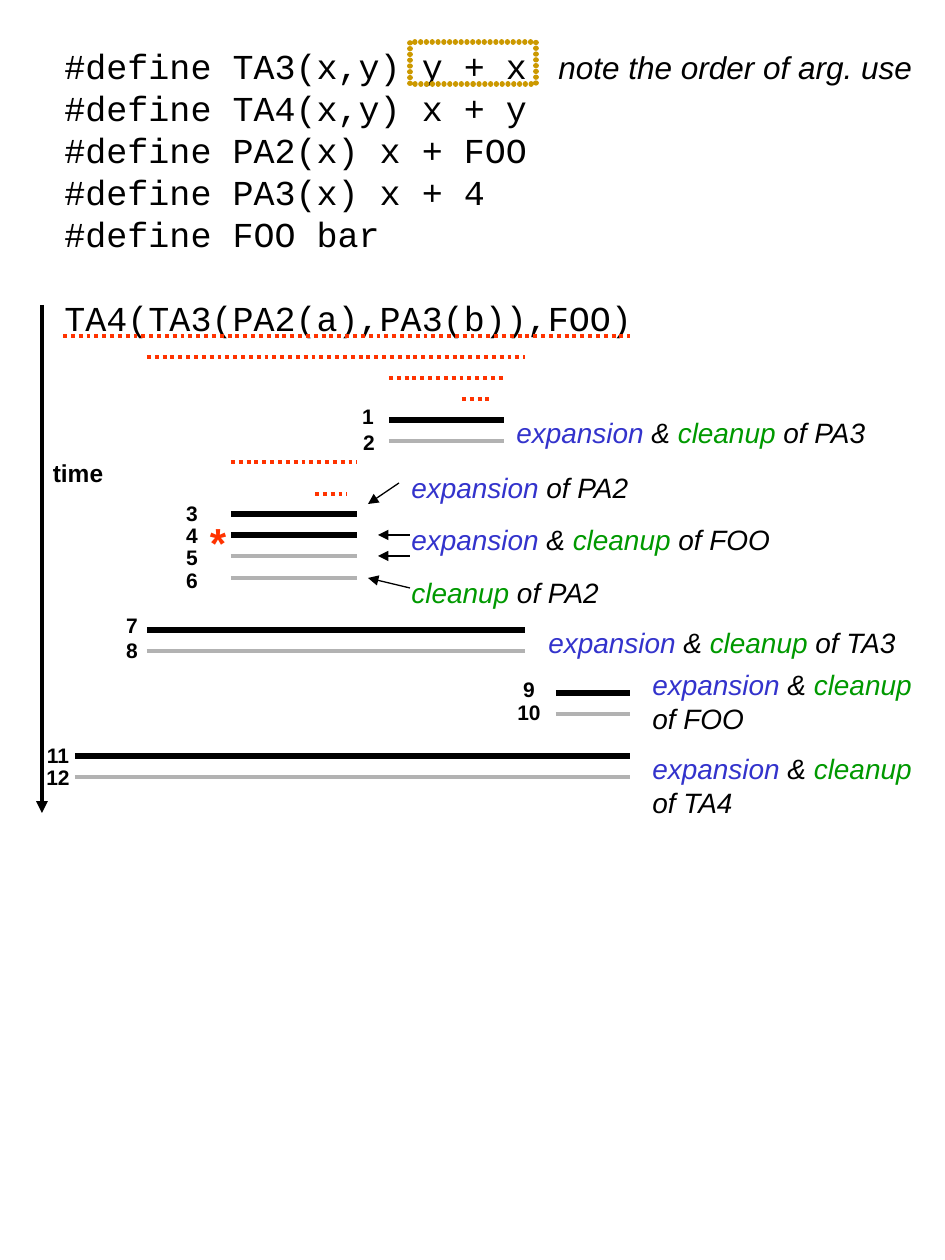
from dataclasses import dataclass

from lxml import etree
from pptx import Presentation
from pptx import util as u
from pptx.dml.color import RGBColor
from pptx.enum import dml, shapes, text
from pptx.oxml import ns

EMU_PER_PX = 914400 / 126
LINE_PITCH = 24


@dataclass(frozen=True)
class Theme:
    ink: str = "000000"
    call: str = "FF3300"
    expansion: str = "3333CC"
    cleanup: str = "009900"
    done: str = "B2B2B2"
    frame: str = "CC9900"
    code_font: str = "Courier New"
    label_font: str = "Arial"
    code_size: int = 20
    note_size: int = 18
    label_size: int = 16
    axis_size: int = 14
    number_size: int = 12
    star_size: int = 24


THEME = Theme()
WORD_COLORS = {"expansion": THEME.expansion, "cleanup": THEME.cleanup}

CODE = [
    "#define TA3(x,y) y + x",
    "#define TA4(x,y) x + y",
    "#define PA2(x) x + FOO",
    "#define PA3(x) x + 4",
    "#define FOO bar",
    "TA4(TA3(PA2(a),PA3(b)),FOO)",
]

# left, right, y
CALLS = [(63, 630, 336), (147, 525, 357), (389, 504, 378), (462, 493, 399),
         (231, 357, 462), (315, 347, 494)]
EXPANSIONS = [(389, 504, 420), (231, 357, 514), (231, 357, 535),
              (147, 525, 630), (556, 630, 693), (75, 630, 756)]
CLEANUPS = [(389, 504, 441), (231, 357, 556), (231, 357, 578),
            (147, 525, 651), (556, 630, 714), (75, 630, 777)]

# start x, start y, tip x, tip y
POINTERS = [(399, 483, 368, 504), (410, 535, 378, 535),
            (410, 556, 378, 556), (410, 588, 368, 578)]

# left, top, width, height, wording
LABELS = [
    (504, 409, 380, 47, "expansion & cleanup of PA3"),
    (399, 464, 250, 47, "expansion of PA2"),
    (399, 516, 390, 47, "expansion & cleanup of FOO"),
    (399, 569, 220, 47, "cleanup of PA2"),
    (536, 619, 380, 47, "expansion & cleanup of TA3"),
    (640, 661, 305, 81, "expansion & cleanup of FOO"),
    (640, 745, 305, 81, "expansion & cleanup of TA4"),
]

# centre, top of the step numbers, in order
STEPS = [(368, 397), (369, 423), (192, 494), (192, 516), (192, 538), (192, 561),
         (132, 606), (132, 631), (529, 670), (529, 693), (58, 736), (58, 758)]
STEP_WIDTH = 56


def px(length):
    return u.Emu(round(length * EMU_PER_PX))


def rgb(color):
    return RGBColor.from_string(color)


def add_box(page, left, top, width, height, wrap=False):
    box = page.shapes.add_textbox(px(left), px(top), px(width), px(height))
    frame = box.text_frame
    frame.word_wrap = wrap
    frame.auto_size = text.MSO_AUTO_SIZE.SHAPE_TO_FIT_TEXT
    frame.vertical_anchor = text.MSO_ANCHOR.MIDDLE
    return frame


def style(para, name, size, color=THEME.ink, bold=None, italic=None):
    font = para.font
    font.name, font.size = name, u.Pt(size)
    font.bold, font.italic = bold, italic
    font.color.rgb = rgb(color)


def add_code(page):
    frame = add_box(page, 52, 38, 600, 307)
    frame.vertical_anchor = text.MSO_ANCHOR.TOP
    for index, line in enumerate(CODE):
        para = frame.add_paragraph() if index else frame.paragraphs[0]
        para.text = line
        para.line_spacing = u.Pt(LINE_PITCH)
        style(para, THEME.code_font, THEME.code_size)
    para.space_before = u.Pt(LINE_PITCH)


def add_label(page, left, top, width, height, wording):
    """Italic label whose phase words take the colour of their phase."""
    frame = add_box(page, left, top, width, height, wrap=height > 47)
    para = frame.paragraphs[0]
    style(para, THEME.label_font, THEME.label_size, italic=True)
    phases, target = wording.split(" of ")
    for word in phases.split():
        span = para.add_run()
        span.text = word + " "
        span.font.color.rgb = rgb(WORD_COLORS.get(word, THEME.ink))
    para.add_run().text = "of " + target


def add_mark(page, left, top, width, height, wording, size, color=THEME.ink):
    para = add_box(page, left, top, width, height).paragraphs[0]
    para.text = wording
    para.alignment = text.PP_ALIGN.CENTER
    style(para, THEME.label_font, size, color, bold=True)


def add_line(page, start_x, start_y, end_x, end_y, color, width, dash=None, arrow=False):
    line = page.shapes.add_connector(
        shapes.MSO_CONNECTOR.STRAIGHT, px(start_x), px(start_y), px(end_x), px(end_y))
    line.line.color.rgb = rgb(color)
    line.line.width = u.Pt(width)
    if dash:
        line.line.dash_style = dash
    if arrow:
        etree.SubElement(line.line._get_or_add_ln(), ns.qn("a:tailEnd"), type="triangle")
    etree.SubElement(line._element.spPr, ns.qn("a:effectLst"))


def add_bars(page, bars, color, width, dash=None):
    for left, right, y in bars:
        add_line(page, left, y, right, y, color, width, dash)


def add_dotted_frame(page, left, top, width, height):
    box = page.shapes.add_shape(
        shapes.MSO_SHAPE.RECTANGLE, px(left), px(top), px(width), px(height))
    box.shadow.inherit = False
    box.fill.background()
    box.line.color.rgb = rgb(THEME.frame)
    box.line.width = u.Pt(3)
    outline = box.line._get_or_add_ln()
    outline.set("cap", "rnd")
    dashes = etree.SubElement(outline, ns.qn("a:custDash"))
    etree.SubElement(dashes, ns.qn("a:ds"), d="100000", sp="10000")


def main():
    deck = Presentation()
    deck.slide_width, deck.slide_height = px(945), px(1260)
    page = deck.slides.add_slide(deck.slide_layouts[6])

    add_code(page)
    add_dotted_frame(page, 410, 42, 126, 42)
    note = add_box(page, 546, 42, 385, 50).paragraphs[0]
    note.text = "note the order of arg. use"
    style(note, THEME.label_font, THEME.note_size, italic=True)

    add_bars(page, CALLS, THEME.call, 2.25, dml.MSO_LINE.ROUND_DOT)
    add_bars(page, EXPANSIONS, THEME.ink, 3)
    add_bars(page, CLEANUPS, THEME.done, 2.25)
    for pointer in POINTERS:
        add_line(page, *pointer, THEME.ink, 0.75, arrow=True)
    for label in LABELS:
        add_label(page, *label)

    add_line(page, 42, 305, 42, 813, THEME.ink, 2.25, arrow=True)
    add_mark(page, 38, 451, 80, 43, "time", THEME.axis_size)
    add_mark(page, 196, 510, 44, 63, "*", THEME.star_size, THEME.call)
    for number, (center, top) in enumerate(STEPS, start=1):
        add_mark(page, center - STEP_WIDTH // 2, top, STEP_WIDTH, 38,
                 str(number), THEME.number_size)

    deck.save("out.pptx")


if __name__ == "__main__":
    main()
